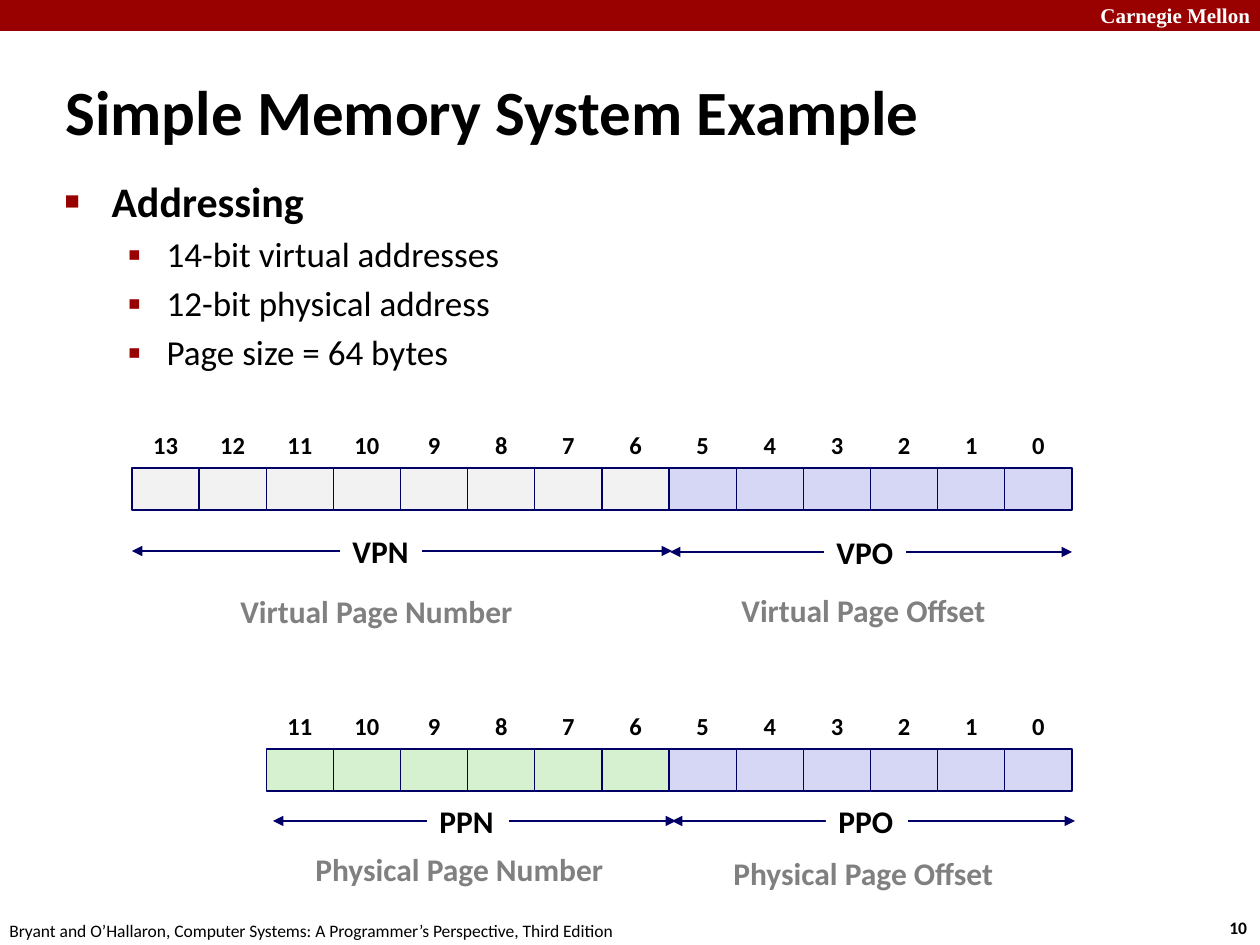
from lxml.etree import SubElement
from pptx import Presentation
from pptx.dml.color import RGBColor
from pptx.enum.shapes import MSO_CONNECTOR as Connector, MSO_SHAPE as Shape
from pptx.enum.text import MSO_ANCHOR as Anchor, MSO_AUTO_SIZE as AutoSize, PP_ALIGN as Align
from pptx.oxml.ns import qn
from pptx.util import Emu, Pt

SCALE = 914400 / 126
COLORS = {
    "banner": "990000",
    "white": "FFFFFF",
    "black": "000000",
    "caption": "808080",
    "outline": "000066",
    "virtual": "F2F2F2",
    "physical": "D5F1CF",
    "offset": "D6D6F5",
}
ADDRESS_BITS = 14
OFFSET_BITS = 6
GRID_LEFT, GRID_WIDTH = 132, 940
CELL_HEIGHT = 42


def px(length):
    return Emu(round(length * SCALE))


def color(name):
    return RGBColor.from_string(COLORS[name])


class SlideBuilder:
    def __init__(self, slide, font="Calibri"):
        self.slide = slide
        self.font = font

    def style(self, paragraph, size, bold=False, ink="black", font=None):
        paragraph.font.name = font or self.font
        paragraph.font.size = Pt(size)
        paragraph.font.bold = bold
        paragraph.font.color.rgb = color(ink)

    def place(self, shape, left, top, width, height):
        shape.left, shape.top = px(left), px(top)
        shape.width, shape.height = px(width), px(height)
        shape.text_frame.auto_size = AutoSize.NONE

    def title(self, text, *box):
        shape = self.slide.shapes.title
        self.place(shape, *box)
        frame = shape.text_frame
        frame.text = text
        frame.vertical_anchor = Anchor.MIDDLE
        frame.paragraphs[0].alignment = Align.LEFT
        self.style(frame.paragraphs[0], 36, True)

    def bullet(self, paragraph, character, percent, margin, indent):
        properties = paragraph._p.get_or_add_pPr()
        properties.set("marL", str(px(margin)))
        properties.set("indent", str(px(-indent)))
        tint = SubElement(properties, qn("a:buClr"))
        SubElement(tint, qn("a:srgbClr"), val=COLORS["banner"])
        SubElement(properties, qn("a:buSzPct"), val=str(percent * 1000))
        SubElement(properties, qn("a:buFont"), typeface="Arial")
        SubElement(properties, qn("a:buChar"), char=character)

    def body(self, heading, items, *box):
        shape = self.slide.placeholders[1]
        self.place(shape, *box)
        frame = shape.text_frame
        frame.text = heading
        first = frame.paragraphs[0]
        self.bullet(first, "■", 60, 47, 47)
        first.space_before = Pt(0)
        self.style(first, 24, True)
        for item in items:
            paragraph = frame.add_paragraph()
            paragraph.text = item
            paragraph.level = 1
            self.bullet(paragraph, "▪", 110, 102, 39)
            paragraph.space_before = Pt(4)
            self.style(paragraph, 20)

    def text(self, text, left, top, width, height, size, bold=True, ink="black", font=None,
             align=Align.LEFT, anchor=Anchor.TOP, spacing=None, fill=None, parent=None):
        shapes = (parent or self.slide).shapes
        shape = shapes.add_textbox(px(left), px(top), px(width), px(height))
        if fill:
            shape.fill.solid()
            shape.fill.fore_color.rgb = color(fill)
        frame = shape.text_frame
        frame.word_wrap = False
        frame.vertical_anchor = anchor
        paragraph = frame.paragraphs[0]
        paragraph.text = text
        paragraph.alignment = align
        paragraph.line_spacing = spacing
        self.style(paragraph, size, bold, ink, font)

    def rectangle(self, left, top, width, height, fill, outline=None):
        shape = self.slide.shapes.add_shape(
            Shape.RECTANGLE, px(left), px(top), px(width), px(height))
        shape.shadow.inherit = False
        shape.fill.solid()
        shape.fill.fore_color.rgb = color(fill)
        if outline:
            shape.line.color.rgb = color(outline)
            shape.line.width = Pt(0.75)
        else:
            shape.line.fill.background()

    def address(self, bits, top, page_fill):
        pitch = GRID_WIDTH / ADDRESS_BITS
        for bit in reversed(range(bits)):
            left = GRID_LEFT + (ADDRESS_BITS - 1 - bit) * pitch
            fill = "offset" if bit < OFFSET_BITS else page_fill
            self.rectangle(left, top, pitch, CELL_HEIGHT, fill, "outline")
            self.text(str(bit), left, top - CELL_HEIGHT, pitch, CELL_HEIGHT, 14,
                      align=Align.CENTER, anchor=Anchor.MIDDLE, spacing=0.88)

    def span(self, label, start, end, y, label_left):
        group = self.slide.shapes.add_group_shape()
        arrow = group.shapes.add_connector(
            Connector.STRAIGHT, px(start), px(y), px(end), px(y))
        arrow.line.color.rgb = color("outline")
        arrow.line.width = Pt(0.75)
        line = arrow.line._get_or_add_ln()
        for arrowhead in ("a:headEnd", "a:tailEnd"):
            SubElement(line, qn(arrowhead), type="triangle")
        SubElement(arrow._element.spPr, qn("a:effectLst"))
        self.text(label, label_left, y - 20, 82, 45, 18,
                  spacing=0.88, fill="white", parent=group)

    def caption(self, text, left, top, width):
        self.text(text, left, top, width, 45, 18, ink="caption", spacing=0.88)


def main():
    presentation = Presentation()
    presentation.slide_width, presentation.slide_height = px(1260), px(945)
    builder = SlideBuilder(presentation.slides.add_slide(presentation.slide_layouts[1]))

    builder.rectangle(0, 0, 1260, 31, "banner")
    builder.text("Carnegie Mellon", 1088, -4, 180, 38, 12, ink="white", font="Times New Roman")
    builder.text("10", 1217, 911, 47, 34, 10)
    builder.text("Bryant and O’Hallaron, Computer Systems: A Programmer’s Perspective, Third Edition",
                 -3, 914, 640, 34, 10, bold=False)

    builder.title("Simple Memory System Example", 53, 71, 1007, 79)
    builder.body("Addressing",
                 ["14-bit virtual addresses", "12-bit physical address", "Page size = 64 bytes"],
                 52, 169, 1145, 218)

    builder.address(ADDRESS_BITS, 468, "virtual")
    builder.address(12, 749, "physical")

    for span in [("VPO", 670, 1072, 552, 824), ("PPO", 672, 1075, 821, 826),
                 ("PPN", 273, 676, 821, 427), ("VPN", 132, 672, 551, 340)]:
        builder.span(*span)
    for caption in [("Virtual Page Number", 228, 591, 300), ("Virtual Page Offset", 729, 590, 272),
                    ("Physical Page Number", 303, 849, 315), ("Physical Page Offset", 721, 853, 289)]:
        builder.caption(*caption)

    presentation.save("out.pptx")


if __name__ == "__main__":
    main()
